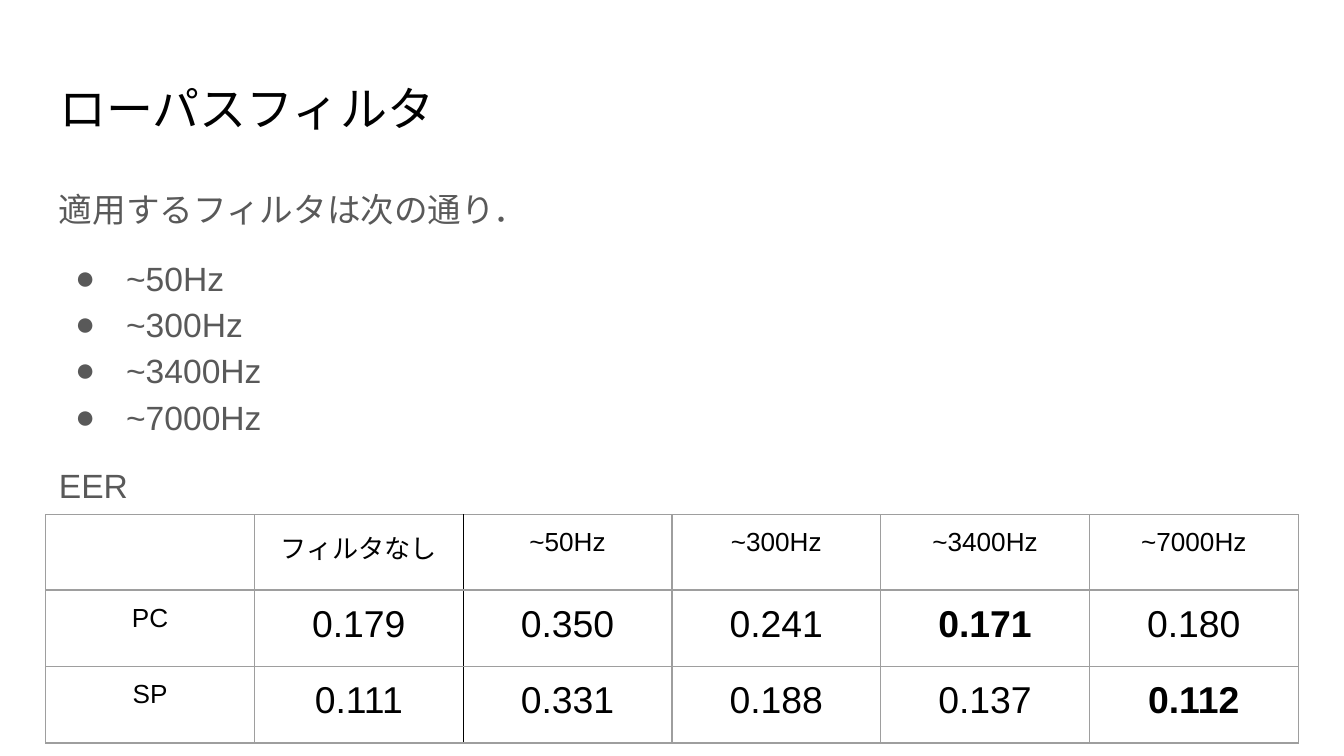
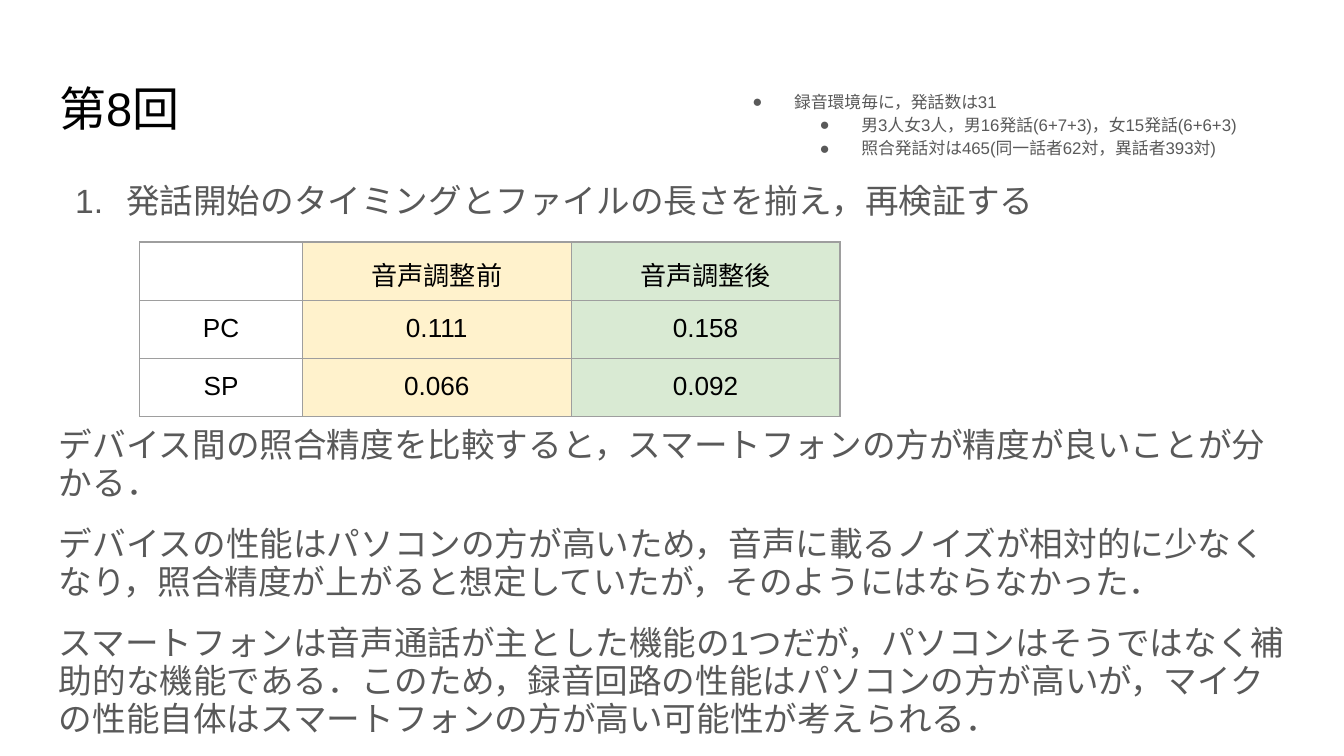
from lxml.etree import SubElement
from pptx import Presentation
from pptx.dml.color import RGBColor
from pptx.enum.text import MSO_ANCHOR as Anchor, MSO_AUTO_SIZE as AutoSize, PP_ALIGN as Align
from pptx.oxml.ns import qn
from pptx.util import Inches, Pt

FONT = "Arial"
BLACK, GRAY, RULE = "000000", "595959", "9E9E9E"
YELLOW, GREEN = "FFF2CC", "D9EAD3"
WIDTH = 10
HEIGHT = WIDTH * 9 / 16
LEFT, TITLE_TOP, BODY_TOP = 0.34, 0.49, 1.26
CONTENT_WIDTH = WIDTH - 2 * LEFT
PADDING = Inches(0.1)


def color(code):
    return RGBColor.from_string(code)


def style(para, size, code, bold=False, east_asian=True):
    """Format every run; east_asian also sets the font for Japanese text."""
    for span in para.runs:
        span.font.size = Pt(size)
        span.font.bold = bold
        span.font.color.rgb = color(code)
        span.font.name = FONT
        if east_asian:
            SubElement(span.font._element, qn("a:ea"), typeface=FONT)


deck = Presentation()
deck.slide_width, deck.slide_height = Inches(WIDTH), Inches(HEIGHT)

# Paragraph: text, bullet, left indent, hanging indent, space before
filters = ["~50Hz", "~300Hz", "~3400Hz", "~7000Hz"]
filter_lines = [("適用するフィルタは次の通り．", None, 0, 0, 0)]
filter_lines += [(name, "●", 0.5, 0.38, 0 if row else 12) for row, name in enumerate(filters)]
filter_lines += [("EER", None, 0, 0, 12)]

# The second paragraph starts below the table
result_lines = [
    ("発話開始のタイミングとファイルの長さを揃え，再検証する", "1.", 0.5, 0.38, 0),
    ("デバイス間の照合精度を比較すると，スマートフォンの方が精度が良いことが分かる．",
     None, 0, 0, 110),
    ("デバイスの性能はパソコンの方が高いため，音声に載るノイズが相対的に少なくなり，"
     "照合精度が上がると想定していたが，そのようにはならなかった．", None, 0, 0, 12),
    ("スマートフォンは音声通話が主とした機能の1つだが，パソコンはそうではなく補助的な機能である．"
     "このため，録音回路の性能はパソコンの方が高いが，"
     "マイクの性能自体はスマートフォンの方が高い可能性が考えられる．", None, 0, 0, 12),
]
recording_lines = [
    ("録音環境毎に，発話数は31", "●", 0.5, 0.31, 0),
    ("男3人女3人，男16発話(6+7+3)，女15発話(6+6+3)", "●", 1, 0.31, 0),
    ("照合発話対は465(同一話者62対，異話者393対)", "●", 1, 0.31, 0),
]

pages = [
    {
        "title": "ローパスフィルタ",
        # Box: left, top, width, height, text size, line spacing, paragraphs
        "boxes": [(LEFT, BODY_TOP, CONTENT_WIDTH, 3.74, 18, 1.15, filter_lines)],
        "table_at": (LEFT, 3.83),
        "columns": [CONTENT_WIDTH / 6] * 6,
        "rows": [0.56, 0.57, 0.57],
        "cells": [
            ["", "フィルタなし", *filters],
            ["PC", "0.179", "0.350", "0.241", "0.171", "0.180"],
            ["SP", "0.111", "0.331", "0.188", "0.137", "0.112"],
        ],
        "value_size": 20,
        "bold": {(1, 4), (2, 5)},
        "fills": {},
        "black_rule": 2,
    },
    {
        "title": "第8回",
        "boxes": [
            (LEFT, BODY_TOP, CONTENT_WIDTH, HEIGHT - BODY_TOP, 18, 0.95, result_lines),
            (5.31, 0.56, 4.71, 0.7, 9, 1.15, recording_lines),
        ],
        "table_at": (1.04, 1.8),
        "columns": [1.21, 2, 2],
        "rows": [0.42] * 3,
        "cells": [
            ["", "音声調整前", "音声調整後"],
            ["PC", "0.111", "0.158"],
            ["SP", "0.066", "0.092"],
        ],
        "value_size": 14,
        "bold": set(),
        "fills": {1: YELLOW, 2: GREEN},
        "black_rule": None,
    },
]

for content in pages:
    page = deck.slides.add_slide(deck.slide_layouts[5])
    page.background.fill.solid()
    page.background.fill.fore_color.rgb = color("FFFFFF")

    title = page.shapes.title
    title.left, title.top = Inches(LEFT), Inches(TITLE_TOP)
    title.width, title.height = Inches(CONTENT_WIDTH), Inches(0.63)
    frame = title.text_frame
    frame.text = content["title"]
    frame.auto_size = AutoSize.NONE
    frame.vertical_anchor = Anchor.TOP
    frame.margin_left = frame.margin_right = frame.margin_top = frame.margin_bottom = PADDING
    frame.paragraphs[0].alignment = Align.LEFT
    style(frame.paragraphs[0], 25.2, BLACK)

    for left, top, width, height, size, spacing, lines in content["boxes"]:
        box = page.shapes.add_textbox(Inches(left), Inches(top), Inches(width), Inches(height))
        frame = box.text_frame
        frame.word_wrap = True
        frame.margin_left = frame.margin_right = frame.margin_top = frame.margin_bottom = PADDING
        frame.text = "\n".join(line[0] for line in lines)
        for para, (text, bullet, indent, hanging, before) in zip(frame.paragraphs, lines):
            properties = para._p.get_or_add_pPr()
            if bullet:
                properties.set("marL", str(Inches(indent)))
                properties.set("indent", str(-Inches(hanging)))
                bullet_color = SubElement(properties, qn("a:buClr"))
                SubElement(bullet_color, qn("a:srgbClr"), val=GRAY)
                if bullet == "1.":
                    SubElement(properties, qn("a:buAutoNum"), type="arabicPeriod")
                else:
                    SubElement(properties, qn("a:buFont"), typeface=FONT)
                    SubElement(properties, qn("a:buChar"), char=bullet)
            para.line_spacing = spacing
            para.space_before = Pt(before)
            style(para, size, GRAY)

    columns, rows = content["columns"], content["rows"]
    left, top = content["table_at"]
    table = page.shapes.add_table(len(rows), len(columns), Inches(left), Inches(top),
                                  Inches(sum(columns)), Inches(sum(rows))).table
    table.first_row = table.horz_banding = False
    for column, width in zip(table.columns, columns):
        column.width = Inches(width)
    for row, height in zip(table.rows, rows):
        row.height = Inches(height)

    for row, texts in enumerate(content["cells"]):
        for column, text in enumerate(texts):
            cell = table.cell(row, column)
            cell.margin_left = cell.margin_right = cell.margin_top = cell.margin_bottom = PADDING
            cell.text = text
            para = cell.text_frame.paragraphs[0]
            para.alignment = Align.CENTER
            if not text:
                para._p.get_or_add_endParaRPr().set("sz", "1400")
            size = content["value_size"] if row and column else 14
            style(para, size, BLACK, (row, column) in content["bold"], east_asian=False)

            properties = cell._tc.get_or_add_tcPr()
            for side, edge in (("L", column), ("R", column + 1), ("T", None), ("B", None)):
                is_black = edge is not None and edge == content["black_rule"]
                border = SubElement(properties, qn(f"a:ln{side}"), w=str(Pt(0.75)))
                paint = SubElement(border, qn("a:solidFill"))
                SubElement(paint, qn("a:srgbClr"), val=BLACK if is_black else RULE)
            if column in content["fills"]:
                cell.fill.solid()
                cell.fill.fore_color.rgb = color(content["fills"][column])
            else:
                cell.fill.background()

deck.save("out.pptx")
